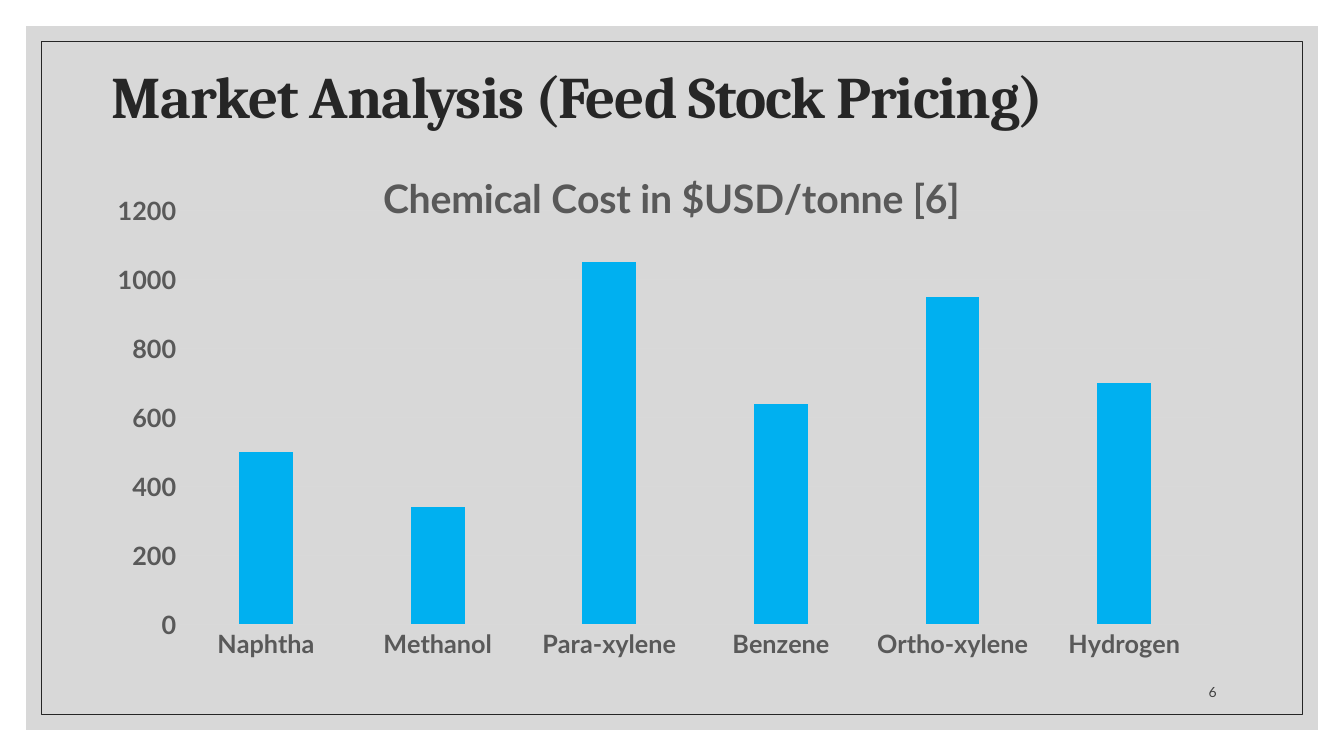
from lxml import etree
from pptx import Presentation
from pptx.chart.data import CategoryChartData
from pptx.dml.color import RGBColor
from pptx.enum import chart as ch, shapes, text
from pptx.oxml import parse_xml
from pptx.oxml.ns import nsdecls, qn
from pptx.util import Pt

TITLE = "Market Analysis (Feed Stock Pricing)"
CHART_TITLE = "Chemical Cost in $USD/tonne [6]"
PAGE_NUMBER = "6"
COSTS = {
    "Naphtha": 500,
    "Methanol": 340,
    "Para-xylene": 1050,
    "Benzene": 640,
    "Ortho-xylene": 950,
    "Hydrogen": 700,
}
COLORS = {"panel": "BFBFBF", "ink": "262626", "label": "595959",
          "grid": "D9D9D9", "bar": "00B0F0", "number": "404040"}
W, H = 960, 540
PANEL_INSET, FRAME_INSET = 18.7, 29.5
PLOT = {"x": 0.057, "y": 0.115, "w": 0.929, "h": 0.74}


def rgb(name):
    return RGBColor.from_string(COLORS[name])


def set_font(font, name, size, color, bold=False):
    font.name, font.size, font.bold = name, Pt(size), bold
    font.color.rgb = rgb(color)


def add_inset_rect(s, inset):
    sp = s.shapes.add_shape(shapes.MSO_SHAPE.RECTANGLE, Pt(inset), Pt(inset),
                            Pt(W - 2 * inset), Pt(H - 2 * inset))
    sp.shadow.inherit = False
    return sp


def add_text(s, box, words, anchor, align):
    sp = s.shapes.add_textbox(*map(Pt, box))
    tf = sp.text_frame
    tf.word_wrap = True
    tf.vertical_anchor = anchor
    p = tf.paragraphs[0]
    p.alignment = align
    p.add_run().text = words
    return p


def add_cost_chart(s):
    data = CategoryChartData()
    data.categories = list(COSTS)
    data.add_series("Series 1", list(COSTS.values()))
    chart = s.shapes.add_chart(ch.XL_CHART_TYPE.COLUMN_CLUSTERED, Pt(83.5), Pt(104.4),
                               Pt(792), Pt(399.6), data).chart
    chart.has_legend = False
    chart.font.name, chart.font.size = "Lato", Pt(10)
    chart.has_title = True
    chart.chart_title.include_in_layout = False
    p = chart.chart_title.text_frame.paragraphs[0]
    p.add_run().text = CHART_TITLE
    set_font(p.font, "Lato", 28, "label", True)

    plot = chart.plots[0]
    plot.gap_width, plot.overlap = 219, -27
    plot.vary_by_categories = False
    fill = plot.series[0].format.fill
    fill.solid()
    fill.fore_color.rgb = rgb("bar")

    for axis in (chart.category_axis, chart.value_axis):
        axis.major_tick_mark = axis.minor_tick_mark = ch.XL_TICK_MARK.NONE
        set_font(axis.tick_labels.font, "Lato", 18, "label", True)
    values = chart.value_axis
    values.minimum_scale, values.maximum_scale, values.major_unit = 0, 1200, 200
    values.format.line.fill.background()
    for line in (chart.category_axis.format.line, values.major_gridlines.format.line):
        line.color.rgb = rgb("grid")
        line.width = Pt(0.75)
    set_plot_layout(chart)


def set_plot_layout(chart):
    """Fix the inner plot area as fractions of the chart."""
    area = chart.plots[0]._element.getparent() if hasattr(chart.plots[0], "_element") \
        else chart.element.find(".//" + qn("c:plotArea"))
    for old in area.findall(qn("c:layout")):
        area.remove(old)
    layout = parse_xml(f"<c:layout {nsdecls('c')}><c:manualLayout/></c:layout>")
    settings = [("layoutTarget", "inner"), ("xMode", "edge"), ("yMode", "edge"), *PLOT.items()]
    for tag, val in settings:
        etree.SubElement(layout[0], qn("c:" + tag)).set("val", str(val))
    area.insert(0, layout)


def main():
    prs = Presentation()
    prs.slide_width, prs.slide_height = Pt(W), Pt(H)
    s = prs.slides.add_slide(prs.slide_layouts[6])

    panel = add_inset_rect(s, PANEL_INSET)
    panel.fill.solid()
    panel.fill.fore_color.rgb = rgb("panel")
    color = panel.fill._xPr.find(".//" + qn("a:srgbClr"))
    etree.SubElement(color, qn("a:alpha")).set("val", "60000")
    panel.line.fill.background()

    frame = add_inset_rect(s, FRAME_INSET)
    frame.fill.background()
    frame.line.color.rgb = rgb("ink")
    frame.line.width = Pt(0.5)

    title = add_text(s, (72.7, 38.2, 815, 66.2), TITLE,
                     text.MSO_ANCHOR.MIDDLE, text.PP_ALIGN.LEFT)
    title.line_spacing = 0.9
    set_font(title.font, "Cambria", 42, "ink", True)
    title.runs[0].font._element.set("spc", "-70")

    add_cost_chart(s)

    number = add_text(s, (810, 475.2, 66.2, 28.8), PAGE_NUMBER,
                      text.MSO_ANCHOR.BOTTOM, text.PP_ALIGN.RIGHT)
    set_font(number.font, "Lato", 10, "number")
    prs.save("out.pptx")


if __name__ == "__main__":
    main()
